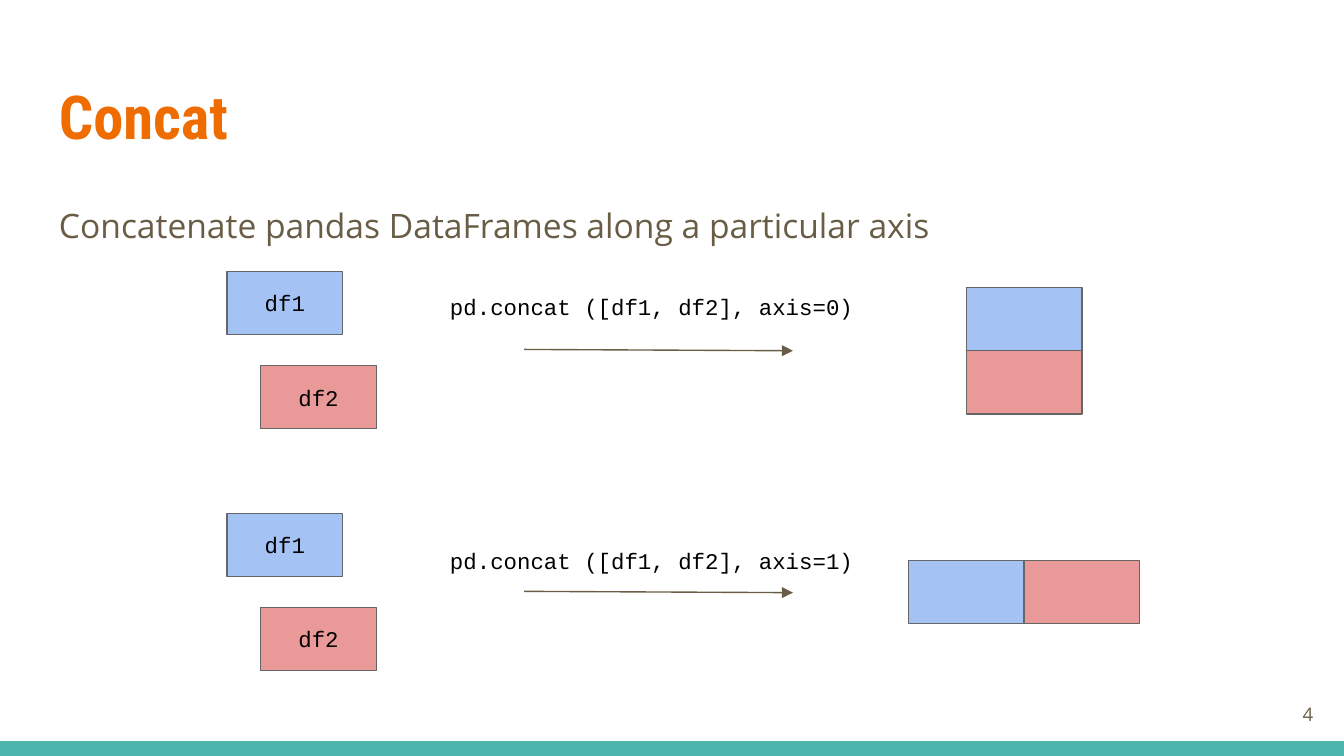
import pptx
import pptx.util
import pptx.dml.color
import pptx.enum.shapes
import pptx.enum.text
import pptx.oxml.ns
from lxml import etree

COLORS = {
    "title": "EF6C00",
    "body": "695D46",
    "code": "000000",
    "df1": "A4C2F4",
    "df2": "EA9999",
    "outline": "666666",
    "footer": "4DB6AC",
}
WIDTH = 10
HEIGHT = WIDTH * 9 / 16
BOX_W, BOX_H = 0.86, 0.47
ROW_TOP, ROW_STEP = 2.02, 1.8
ALIGN = pptx.enum.text.PP_ALIGN
ANCHOR = pptx.enum.text.MSO_ANCHOR


def inches(*lengths):
    return [pptx.util.Inches(n) for n in lengths]


def rgb(name):
    return pptx.dml.color.RGBColor.from_string(COLORS[name])


def set_text(s, text, size, font, color, align=ALIGN.LEFT, anchor=ANCHOR.TOP, bold=False):
    tf = s.text_frame
    tf.word_wrap = True
    tf.vertical_anchor = anchor
    tf.margin_left, tf.margin_top, tf.margin_right, tf.margin_bottom = inches(0.1, 0.1, 0.1, 0.1)
    p = tf.paragraphs[0]
    p.text = text
    p.alignment = align
    p.font.size = pptx.util.Pt(size)
    p.font.name = font
    p.font.bold = bold
    p.font.color.rgb = rgb(color)
    return p


def add_text(sp, box, text, size, font, color, **options):
    s = sp.add_textbox(*inches(*box))
    return set_text(s, text, size, font, color, **options)


def add_rect(sp, box, fill):
    s = sp.add_shape(pptx.enum.shapes.MSO_SHAPE.RECTANGLE, *inches(*box))
    s.shadow.inherit = False
    s.fill.solid()
    s.fill.fore_color.rgb = rgb(fill)
    s.line.fill.background()
    return s


def add_frame(sp, left, top, name, label=""):
    s = add_rect(sp, (left, top, BOX_W, BOX_H), name)
    s.line.color.rgb = rgb("outline")
    s.line.width = pptx.util.Pt(0.75)
    if label:
        set_text(s, label, 12, "Courier New", "code", ALIGN.CENTER, ANCHOR.MIDDLE)


def add_arrow(sp, x1, y1, x2, y2):
    s = sp.add_connector(pptx.enum.shapes.MSO_CONNECTOR.STRAIGHT, *inches(x1, y1, x2, y2))
    s.line.color.rgb = rgb("body")
    s.line.width = pptx.util.Pt(0.75)
    qn = pptx.oxml.ns.qn
    props = s.element.spPr
    etree.SubElement(props.find(qn("a:ln")), qn("a:tailEnd"), type="triangle")
    etree.SubElement(props, qn("a:effectLst"))


def add_example(sp, axis, result_left, result_top, code_top):
    top = ROW_TOP + axis * ROW_STEP
    add_frame(sp, 1.69, top, "df1", "df1")
    add_frame(sp, 1.94, top + 0.7, "df2", "df2")
    add_text(sp, (3.25, code_top, 3.3, 0.4), f"pd.concat ([df1, df2], axis={axis})",
             12, "Courier New", "code")
    add_arrow(sp, 3.9, top + 0.58, 5.9, top + 0.59)
    add_frame(sp, result_left, result_top, "df1")
    add_frame(sp, result_left + axis * BOX_W, result_top + (1 - axis) * BOX_H, "df2")


def main():
    prs = pptx.Presentation()
    prs.slide_width, prs.slide_height = inches(WIDTH, HEIGHT)
    sp = prs.slides.add_slide(prs.slide_layouts[6]).shapes

    add_rect(sp, (0, HEIGHT - 0.11, WIDTH, 0.11), "footer")
    add_text(sp, (0.34, 0.49, 9.32, 0.77), "Concat", 32.4, "Roboto Condensed", "title", bold=True)
    p = add_text(sp, (0.34, 1.38, 9.32, 3.61),
                 "Concatenate pandas DataFrames along a particular axis", 18, "Open Sans", "body")
    p.line_spacing = 1.15
    p.space_after = pptx.util.Pt(12)
    add_text(sp, (9.27, 5.1, 0.6, 0.43), "4", 10, "Open Sans", "body",
             align=ALIGN.RIGHT, anchor=ANCHOR.MIDDLE)

    add_example(sp, 0, 7.19, 2.14, 2.08)
    add_example(sp, 1, 6.76, 4.17, 3.97)

    prs.save("out.pptx")


if __name__ == "__main__":
    main()
